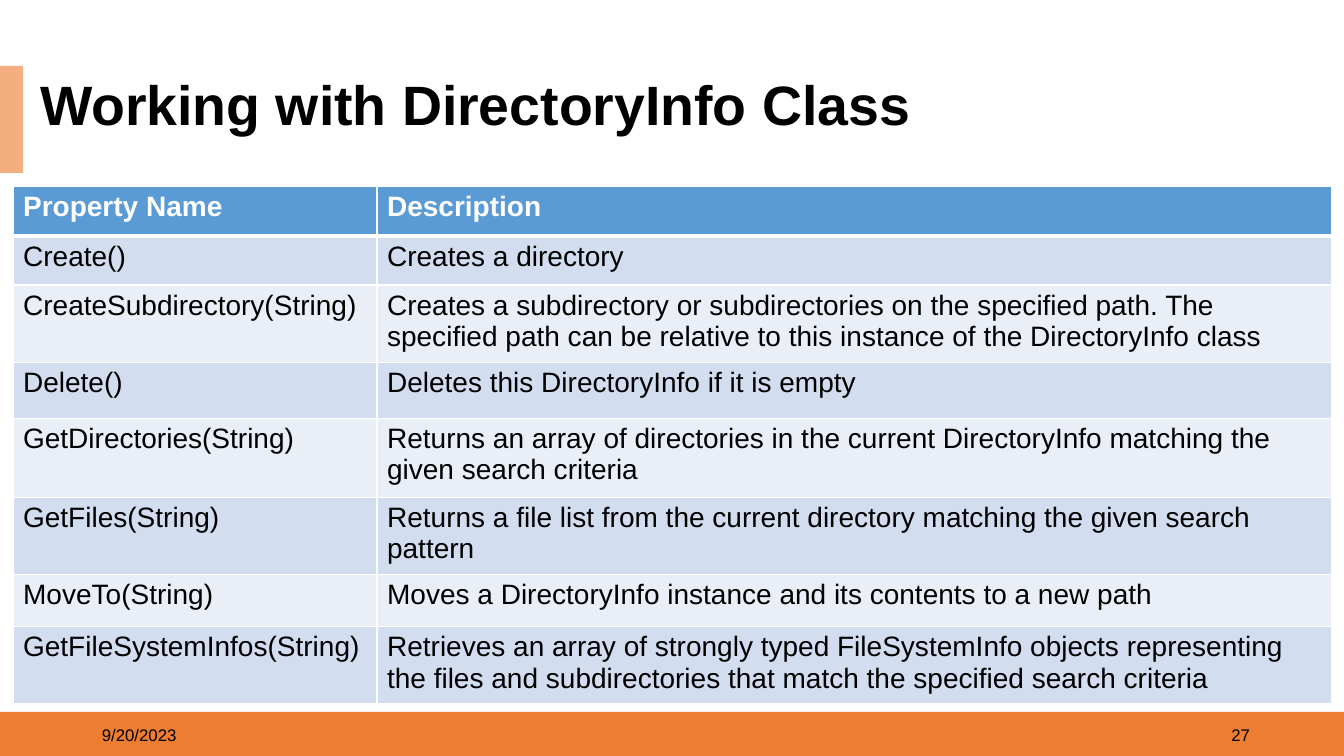
from lxml import etree
from pptx import Presentation
from pptx.dml.color import RGBColor
from pptx.enum.shapes import MSO_SHAPE
from pptx.enum.text import MSO_ANCHOR, PP_ALIGN
from pptx.oxml.ns import qn
from pptx.util import Emu, Pt

RECTANGLE = MSO_SHAPE.RECTANGLE
MIDDLE = MSO_ANCHOR.MIDDLE
LEFT, RIGHT = PP_ALIGN.LEFT, PP_ALIGN.RIGHT
EMU_PER_PX = 914400 / 100.8
FONT = "Arial"
TITLE_ONLY = 5
COLORS = {
    "footer": "ED7D31",
    "accent": "F4AF80",
    "header": "5B9BD5",
    "odd": "D2DEEF",
    "even": "EAEFF7",
    "white": "FFFFFF",
    "black": "000000",
}
COLUMN_WIDTHS = [364, 955]
ROW_HEIGHTS = [50, 49, 72, 56, 79, 73, 52, 72]
METHODS = [
    ("Property Name", "Description"),
    ("Create()", "Creates a directory"),
    ("CreateSubdirectory(String)",
     "Creates a subdirectory or subdirectories on the specified path. The specified path "
     "can be relative to this instance of the DirectoryInfo class"),
    ("Delete()", "Deletes this DirectoryInfo if it is empty"),
    ("GetDirectories(String)",
     "Returns an array of directories in the current DirectoryInfo matching the given "
     "search criteria"),
    ("GetFiles(String)",
     "Returns a file list from the current directory matching the given search pattern"),
    ("MoveTo(String)", "Moves a DirectoryInfo instance and its contents to a new path"),
    ("GetFileSystemInfos(String)",
     "Retrieves an array of strongly typed FileSystemInfo objects representing the files "
     "and subdirectories that match the specified search criteria"),
]


def px(length):
    """Turn pixels into EMU."""
    return Emu(round(length * EMU_PER_PX))


def box(*lengths):
    """Turn left, top, width and height into EMU."""
    return [px(length) for length in lengths]


def paint(fill, color):
    """Give a fill one solid colour."""
    fill.solid()
    fill.fore_color.rgb = RGBColor.from_string(COLORS[color])


def style(paragraph, size, color="black", bold=False):
    """Set the font of a whole paragraph."""
    font = paragraph.font
    font.name, font.size, font.bold = FONT, Pt(size), bold
    font.color.rgb = RGBColor.from_string(COLORS[color])


def add_bar(slide, color, *lengths):
    """Add a plain coloured rectangle."""
    bar = slide.shapes.add_shape(RECTANGLE, *box(*lengths))
    bar.shadow.inherit = False
    paint(bar.fill, color)
    bar.line.fill.background()


def add_footer_text(slide, text, left, alignment):
    """Add a small text on the footer bar."""
    frame = slide.shapes.add_textbox(*box(left, 715, 302, 40)).text_frame
    frame.word_wrap = True
    frame.vertical_anchor = MIDDLE
    paragraph = frame.paragraphs[0]
    paragraph.text = text
    paragraph.alignment = alignment
    style(paragraph, 12)


def set_title(slide, text):
    """Fill and place the title placeholder."""
    title = slide.shapes.title
    title.left, title.top, title.width, title.height = box(30, 76, 909, 63)
    paint(title.fill, "white")
    frame = title.text_frame
    frame.word_wrap = True
    frame.vertical_anchor = MIDDLE
    paragraph = frame.paragraphs[0]
    paragraph.text = text
    paragraph.alignment = LEFT
    paragraph.line_spacing = 0.9
    style(paragraph, 39.6, bold=True)


def add_borders(cell, bottom, top):
    """Draw white lines round a cell, with widths in points."""
    properties = cell._tc.get_or_add_tcPr()
    for side, width in (("lnL", 1), ("lnR", 1), ("lnT", top), ("lnB", bottom)):
        line = etree.SubElement(properties, qn(f"a:{side}"), w=str(Pt(width)))
        solid = etree.SubElement(line, qn("a:solidFill"))
        etree.SubElement(solid, qn("a:srgbClr"), val=COLORS["white"])


def fill_cell(cell, text, row):
    """Write and format one table cell."""
    is_header = row == 0
    add_borders(cell, bottom=3 if is_header else 1, top=3 if row == 1 else 1)
    paint(cell.fill, "header" if is_header else "odd" if row % 2 else "even")
    paragraph = cell.text_frame.paragraphs[0]
    paragraph.text = text
    if is_header:
        paragraph.space_before = paragraph.space_after = Pt(6)
    style(paragraph, 20, "white" if is_header else "black", is_header)


def add_method_table(slide):
    """Add the table of methods and their descriptions."""
    lengths = box(13, 186, sum(COLUMN_WIDTHS), sum(ROW_HEIGHTS))
    table = slide.shapes.add_table(len(METHODS), len(COLUMN_WIDTHS), *lengths).table
    for column, width in zip(table.columns, COLUMN_WIDTHS):
        column.width = px(width)
    for row, (height, texts) in enumerate(zip(ROW_HEIGHTS, METHODS)):
        table.rows[row].height = px(height)
        for column, text in enumerate(texts):
            fill_cell(table.cell(row, column), text, row)


def main():
    """Build the slide and save it."""
    deck = Presentation()
    deck.slide_width, deck.slide_height = px(1344), px(756)
    slide = deck.slides.add_slide(deck.slide_layouts[TITLE_ONLY])
    add_bar(slide, "footer", 0, 712, 1344, 44)
    add_bar(slide, "accent", 0, 66, 23, 107)
    add_footer_text(slide, "9/20/2023", 92, LEFT)
    add_footer_text(slide, "27", 958, RIGHT)
    add_method_table(slide)
    set_title(slide, "Working with DirectoryInfo Class")
    deck.save("out.pptx")


if __name__ == "__main__":
    main()
